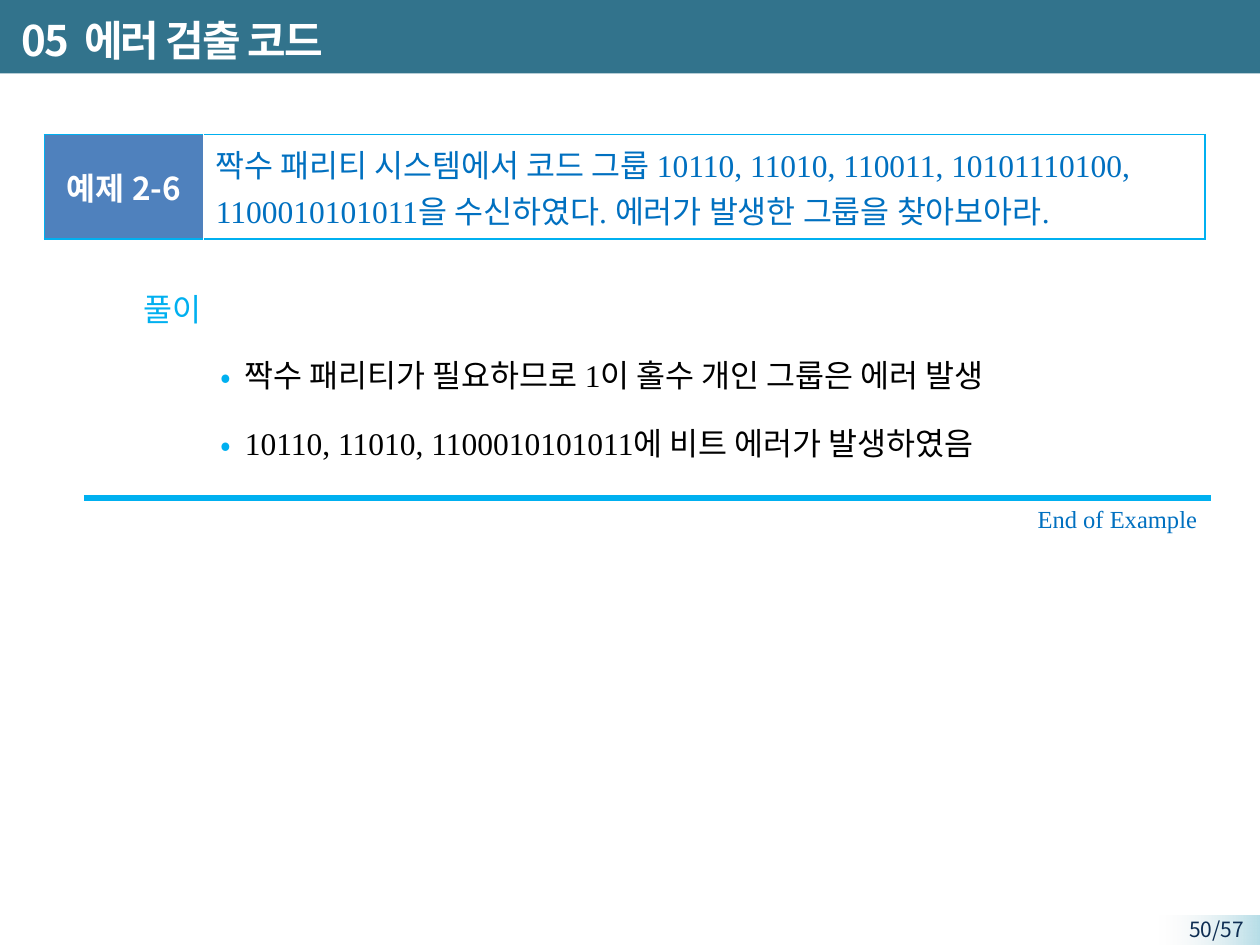
import pptx
import pptx.dml.color
import pptx.enum.shapes
import pptx.enum.text
import pptx.oxml
import pptx.oxml.ns
import pptx.util

Pt = pptx.util.Pt
ALIGN = pptx.enum.text.PP_ALIGN
ANCHOR = pptx.enum.text.MSO_ANCHOR
SANS = "Noto Sans CJK KR"
SERIF = "Times New Roman"
CYAN, BLUE, WHITE, BLACK = "00B0F0", "0070C0", "FFFFFF", "000000"


def color(value):
    return pptx.dml.color.RGBColor.from_string(value)


def add_xml(parent, xml):
    """Append a DrawingML fragment; its tag must be followed by a space."""
    tag, rest = xml[1:].split(" ", 1)
    namespace = pptx.oxml.ns.nsdecls("a")
    parent.append(pptx.oxml.parse_xml(f"<{tag} {namespace} {rest}"))


class SlideBuilder:
    def __init__(self, slide):
        self.slide = slide

    def add_run(self, paragraph, text, size=18, font=SERIF, ink=BLACK, bold=False, spacing=0):
        run = paragraph.add_run()
        run.text = text
        run.font.size = Pt(size)
        run.font.bold = bold
        run.font.name = font
        run.font.color.rgb = color(ink)
        if spacing:
            run.font._element.set("spc", str(spacing * 100))

    def add_text_box(self, box, align=ALIGN.LEFT, anchor=ANCHOR.TOP, wrap=True):
        """Add an empty text box and return its frame."""
        frame = self.slide.shapes.add_textbox(*map(Pt, box)).text_frame
        frame.word_wrap = wrap
        frame.vertical_anchor = anchor
        frame.paragraphs[0].alignment = align
        return frame

    def add_label(self, box, text, align=ALIGN.LEFT, wrap=True, **style):
        frame = self.add_text_box(box, align, wrap=wrap)
        self.add_run(frame.paragraphs[0], text, **style)

    def add_title(self, box, number, text):
        paragraph = self.add_text_box(box, anchor=ANCHOR.MIDDLE).paragraphs[0]
        for part, spacing in ((number, -1), (" ", 3), (text, -1)):
            self.add_run(paragraph, part, 24, SANS, WHITE, True, spacing)

    def add_bullets(self, box, lines):
        frame = self.add_text_box(box)
        for index, line in enumerate(lines):
            paragraph = frame.add_paragraph() if index else frame.paragraphs[0]
            paragraph.line_spacing = Pt(35)
            paragraph.space_before = Pt(3.6 if index else 0)
            properties = paragraph._p.get_or_add_pPr()
            properties.set("marL", str(Pt(14)))
            properties.set("indent", str(-Pt(14)))
            add_xml(properties, f'<a:buClr ><a:srgbClr val="{CYAN}"/></a:buClr>')
            add_xml(properties, f'<a:buFont typeface="{SANS}"/>')
            add_xml(properties, '<a:buChar char="•"/>')
            self.add_run(paragraph, line)

    def add_rectangle(self, box):
        shape = self.slide.shapes.add_shape(
            pptx.enum.shapes.MSO_SHAPE.RECTANGLE, *map(Pt, box))
        shape.shadow.inherit = False
        shape.line.fill.background()
        return shape

    def add_bar(self, box, fill):
        shape = self.add_rectangle(box)
        shape.fill.solid()
        shape.fill.fore_color.rgb = color(fill)

    def add_fading_bar(self, box, start, end):
        """Add a bar that fades from start on the right to a clear end."""
        fill = self.add_rectangle(box).fill
        fill.gradient()
        fill.gradient_angle = 180
        stops = fill.gradient_stops
        for stop, value, position in zip(stops, (start, end), (0, 1)):
            stop.color.rgb = color(value)
            stop.position = position
        clear_color = stops[1]._gs.find(pptx.oxml.ns.qn("a:srgbClr"))
        add_xml(clear_color, '<a:alpha val="0"/>')

    def add_line(self, start, end, ink, width):
        line = self.slide.shapes.add_connector(
            pptx.enum.shapes.MSO_CONNECTOR.STRAIGHT, *map(Pt, start + end))
        line.line.color.rgb = color(ink)
        line.line.width = Pt(width)
        add_xml(line._element.spPr, "<a:effectLst />")

    def add_table(self, box, widths):
        table = self.slide.shapes.add_table(1, len(widths), *map(Pt, box)).table
        table.first_row = table.horz_banding = False
        for column, width in zip(table.columns, widths):
            column.width = Pt(width)
        return table

    def fill_cell(self, cell, text, borders, fill=None, align=ALIGN.LEFT, **style):
        """Write a cell; borders are the left, right, top and bottom colours."""
        cell.vertical_anchor = ANCHOR.MIDDLE
        for side, value in zip("LRTB", borders):
            add_xml(cell._tc.get_or_add_tcPr(),
                    f'<a:ln{side} w="{Pt(1)}"><a:solidFill>'
                    f'<a:srgbClr val="{value}"/></a:solidFill></a:ln{side}>')
        if fill:
            cell.fill.solid()
            cell.fill.fore_color.rgb = color(fill)
        else:
            cell.fill.background()
        paragraph = cell.text_frame.paragraphs[0]
        paragraph.alignment = align
        self.add_run(paragraph, text, **style)


def main():
    presentation = pptx.Presentation()
    presentation.slide_width, presentation.slide_height = Pt(720), Pt(540)
    builder = SlideBuilder(presentation.slides.add_slide(presentation.slide_layouts[6]))

    builder.add_bar((0, -1.8, 720, 43.8), "32738C")
    builder.add_fading_bar((662.4, 523.2, 57.6, 17), "B7DEE8", "F2F2F2")
    builder.add_label((651.6, 520, 66.4, 16.8), "50/57", ALIGN.RIGHT,
                      size=12, font=SANS, ink="0F2E53")
    builder.add_title((5.2, 4.2, 612.8, 37.6), "05", "에러 검출 코드")

    builder.add_bullets((118.8, 186.5, 578, 95.8), (
        "짝수 패리티가 필요하므로 1이 홀수 개인 그룹은 에러 발생",
        "10110, 11010, 1100010101011에 비트 에러가 발생하였음",
    ))

    example = builder.add_table((25.4, 77, 663.2, 59.5), (90.8, 572.4))
    builder.fill_cell(example.cell(0, 0), "예제 2-6", (CYAN, WHITE, CYAN, CYAN),
                      "4F81BD", ALIGN.CENTER, font=SANS, ink=WHITE, bold=True)
    builder.fill_cell(example.cell(0, 1),
                      "짝수 패리티 시스템에서 코드 그룹 10110, 11010, 110011, 10101110100, "
                      "1100010101011을 수신하였다. 에러가 발생한 그룹을 찾아보아라.",
                      (WHITE, CYAN, CYAN, CYAN), ink=BLUE)

    builder.add_label((75, 162, 56, 28.8), "풀이", wrap=False, font=SANS, ink=CYAN)
    builder.add_line((48, 284.6), (692, 284.6), CYAN, 3)
    builder.add_label((585.2, 284.6, 106.6, 24.5), "End of Example", ALIGN.CENTER,
                      wrap=False, size=14, ink=BLUE)
    presentation.save("out.pptx")


if __name__ == "__main__":
    main()
